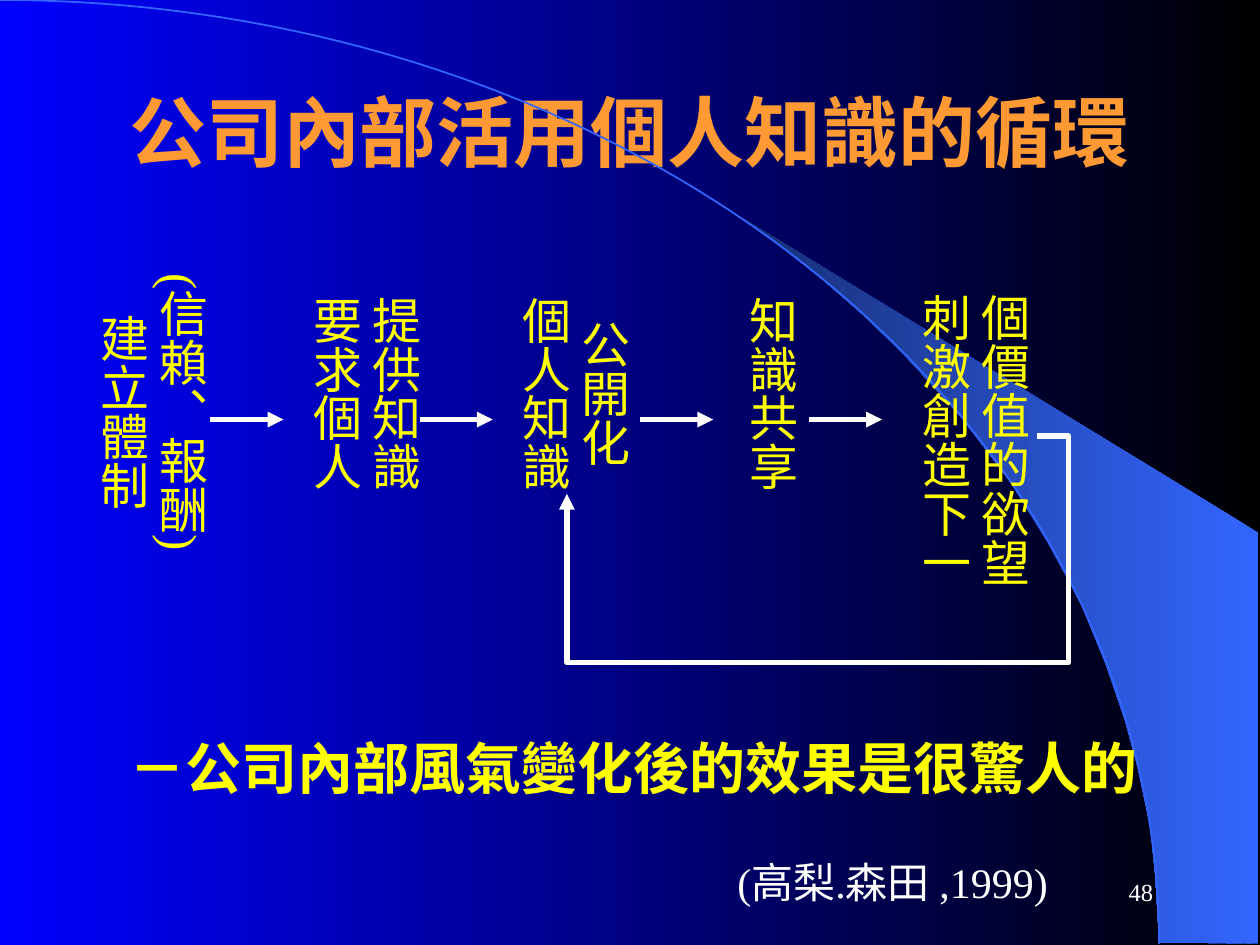
from math import cos, pi, sin

from pptx import Presentation
from pptx.dml.color import RGBColor
from pptx.enum.shapes import MSO_CONNECTOR
from pptx.enum.text import MSO_ANCHOR, MSO_AUTO_SIZE, PP_ALIGN
from pptx.oxml.ns import qn
from pptx.util import Inches, Pt
from lxml.etree import SubElement

ORANGE, YELLOW, WHITE, BLUE = "FF9933", "FFFF00", "FFFFFF", "3366FF"


def color(value):
    return RGBColor.from_string(value)


def fill_gradient(fill, first, last):
    fill.gradient()
    fill.gradient_angle = 180
    for stop, value, position in zip(fill.gradient_stops, (first, last), (0, 1)):
        stop.color.rgb = color(value)
        stop.position = position


class SlideBuilder:
    heading_font = "Arial"
    body_font = "Times New Roman"

    def __init__(self, slide):
        self.slide = slide

    def add_lines(self, frame, lines, size, value, align, font=None, bold=False):
        for index, line in enumerate(lines):
            paragraph = frame.add_paragraph() if index else frame.paragraphs[0]
            paragraph.alignment = align
            run = paragraph.add_run()
            run.text = line
            run.font.name = font or self.body_font
            run.font.size = Pt(size)
            run.font.bold = bold
            run.font.color.rgb = color(value)

    def title(self, text, left, top, width, height):
        shape = self.slide.shapes.title
        shape.left, shape.top = Inches(left), Inches(top)
        shape.width, shape.height = Inches(width), Inches(height)
        shape.text_frame.auto_size = MSO_AUTO_SIZE.NONE
        self.add_lines(shape.text_frame, [text], 44, ORANGE, PP_ALIGN.CENTER,
                       self.heading_font, True)

    def text(self, lines, box, size, value, align=PP_ALIGN.LEFT, bold=False,
             vertical=False, wrap=False):
        shape = self.slide.shapes.add_textbox(*map(Inches, box))
        frame = shape.text_frame
        frame.word_wrap = wrap
        frame.auto_size = MSO_AUTO_SIZE.NONE if wrap else MSO_AUTO_SIZE.SHAPE_TO_FIT_TEXT
        across, down = (0.05, 0.1) if vertical else (0.1, 0.05)
        frame.margin_left = frame.margin_right = Inches(across)
        frame.margin_top = frame.margin_bottom = Inches(down)
        if vertical:
            frame._txBody.bodyPr.set("vert", "eaVert")
        self.add_lines(frame, lines, size, value, align, bold=bold)
        return frame

    def outline(self, points, close):
        points = [(Inches(x), Inches(y)) for x, y in points]
        builder = self.slide.shapes.build_freeform(*points[0], scale=1.0)
        builder.add_line_segments(points[1:], close=close)
        shape = builder.convert_to_shape()
        shape.shadow.inherit = False
        return shape

    def arrow(self, start, end, kind=MSO_CONNECTOR.STRAIGHT):
        connector = self.slide.shapes.add_connector(
            kind, *map(Inches, start), *map(Inches, end))
        connector.line.color.rgb = color(WHITE)
        connector.line.width = Pt(3)
        SubElement(connector.line._get_or_add_ln(), qn("a:tailEnd"), type="triangle")
        SubElement(connector._element.spPr, qn("a:effectLst"))
        return connector

    def loop_arrow(self, start, end, right, bottom):
        connector = self.arrow(start, end, MSO_CONNECTOR.ELBOW)
        geometry = connector._element.spPr.find(qn("a:prstGeom"))
        geometry.set("prst", "bentConnector4")
        guides = geometry.find(qn("a:avLst"))
        if guides is None:
            guides = SubElement(geometry, qn("a:avLst"))
        ratios = ((right - start[0]) / (end[0] - start[0]),
                  (bottom - start[1]) / (end[1] - start[1]))
        for number, ratio in enumerate(ratios, 1):
            SubElement(guides, qn("a:gd"), name=f"adj{number}",
                       fmla=f"val {round(ratio * 100000)}")


def main():
    presentation = Presentation()
    presentation.slide_width, presentation.slide_height = Inches(10), Inches(7.5)
    slide = presentation.slides.add_slide(presentation.slide_layouts[5])
    builder = SlideBuilder(slide)

    # Background with the blue wedge and the arc
    fill_gradient(slide.background.fill, "000000", "0000FF")
    wedge = builder.outline([
        (9.2, 7.48), (9.99, 7.49), (9.99, 4.23), (5.89, 1.73), (6.24, 1.99),
        (6.53, 2.22), (6.85, 2.5), (7.16, 2.8), (7.62, 3.3), (8.03, 3.84),
        (8.32, 4.31), (8.58, 4.79), (8.78, 5.28), (8.93, 5.72), (9.03, 6.09),
        (9.13, 6.56), (9.17, 6.96)], close=True)
    fill_gradient(wedge.fill, BLUE, "172F75")
    wedge.line.fill.background()

    steps = 90
    angles = [pi / 2 * step / steps for step in range(steps + 1)]
    arc = builder.outline([(9.2 * sin(a), 7.49 * (1 - cos(a))) for a in angles],
                          close=False)
    arc.fill.background()
    arc.line.color.rgb = color(BLUE)
    arc.line.width = Pt(1)

    builder.title("公司內部活用個人知識的循環", 0.75, 0.58, 8.5, 0.92)

    # Stages of the cycle, in vertical text read from right to left
    stages = [
        (["(信賴、報酬)", "建立體制"], (0.6, 2.07, 1.13, 2.49)),
        (["提供知識", "要求個人"], (2.29, 2.25, 1.13, 1.66)),
        (["公開化", "個人知識"], (3.95, 2.25, 1.13, 1.66)),
        (["知識共享"], (5.75, 2.25, 0.66, 1.66)),
        (["個價值的欲望", "刺激創造下一"], (7.12, 2.23, 1.13, 2.43)),
    ]
    for lines, box in stages:
        builder.text(lines, box, 28, YELLOW, PP_ALIGN.CENTER, vertical=True)

    # Arrows between stages and the way back
    for left in (1.67, 3.33, 5.08, 6.42):
        builder.arrow((left, 3.33), (left + 0.58, 3.33))
    builder.loop_arrow((8.23, 3.46), (4.5, 3.92), right=8.48, bottom=5.26)

    # Conclusion, source and slide number
    builder.text(["－公司內部風氣變化後的效果是很驚人的"], (0.93, 5.77, 8.21, 0.64),
                 32, YELLOW, bold=True)
    builder.text(["(高梨.森田 ,1999)"], (5.55, 6.75, 3.07, 0.5), 24, WHITE,
                 PP_ALIGN.CENTER)
    number = builder.text(["48"], (7.17, 6.83, 2.08, 0.5), 14, WHITE,
                          PP_ALIGN.RIGHT, wrap=True)
    number.vertical_anchor = MSO_ANCHOR.MIDDLE

    presentation.save("out.pptx")


if __name__ == "__main__":
    main()
